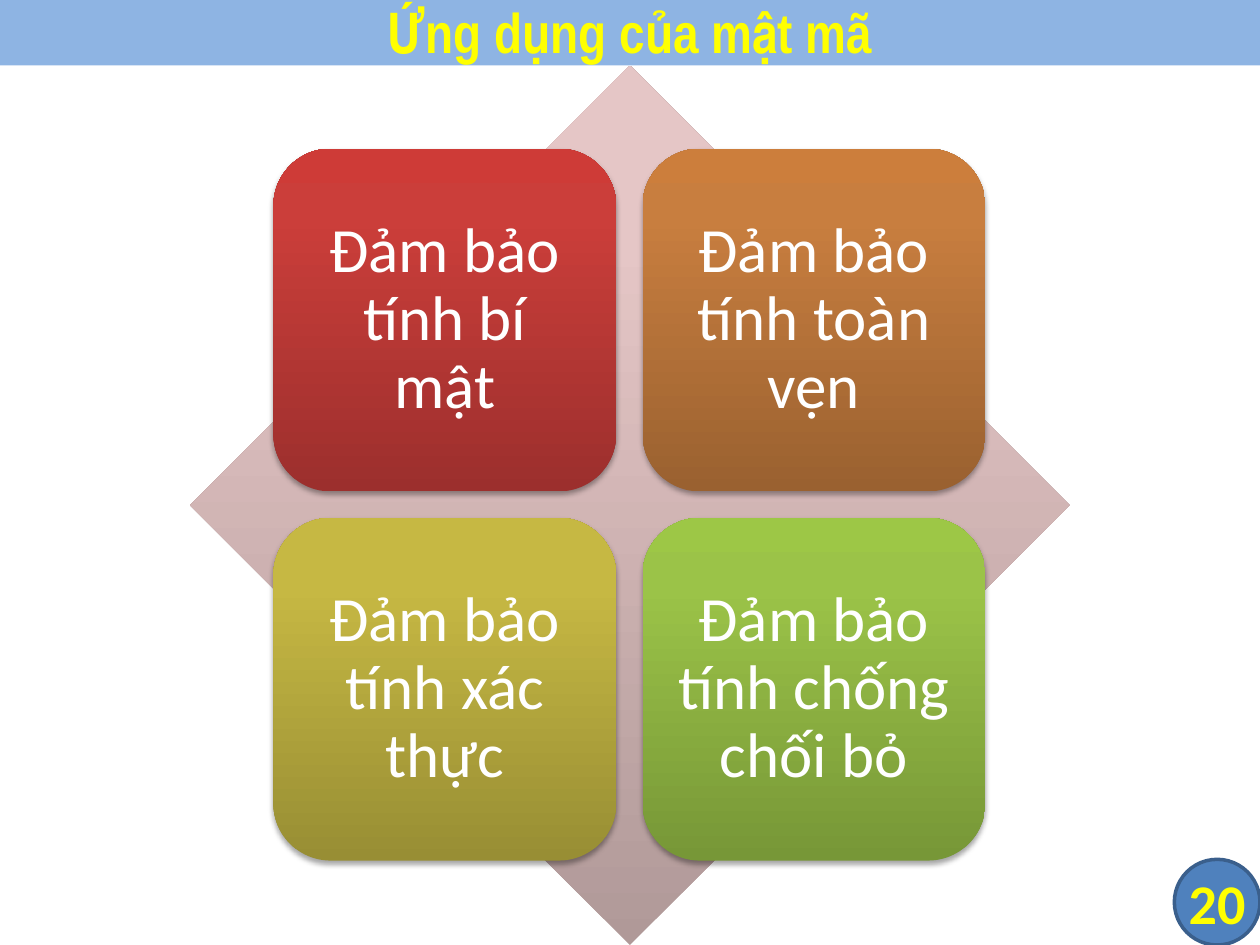
"""Build the slide on the uses of cryptography: four goals over a diamond."""
from copy import deepcopy

from lxml import etree
from pptx import Presentation
from pptx import util as u
from pptx.dml.color import RGBColor
from pptx.enum import shapes, text
from pptx.oxml import ns

COLORS = {
    "banner": "8EB4E3",
    "highlight": "FFFF00",
    "label": "FFFFFF",
    "badge": "4F81BD",
    "badge_line": "3A5F8C",
    "shadow": "000000",
}
DIAMOND_GRADIENT = ("B09998", "E5C6C6", "E6C7C6")
GOALS = [
    ("Đảm bảo tính bí mật", ("9C2F2D", "CB3E3A", "CE3B37")),
    ("Đảm bảo tính toàn vẹn", ("9A6130", "C87E3F", "CC7E3C")),
    ("Đảm bảo tính xác thực", ("988E34", "C6B843", "C9BB41")),
    ("Đảm bảo tính chống chối bỏ", ("779737", "9BC348", "9DC746")),
]
STOP_POSITIONS = (0, 0.8, 1)
TILE_LEFT, TILE_TOP, TILE_SIZE, TILE_PITCH = 2.17, 1.18, 2.72, 2.93


def rgb(name):
    """Return the named palette colour."""
    return RGBColor.from_string(COLORS[name])


def add_shape(slide, kind, left, top, width, height):
    """Add a preset shape with neither outline nor shadow."""
    box = [u.Inches(value) for value in (left, top, width, height)]
    shape = slide.shapes.add_shape(kind, *box)
    shape.shadow.inherit = False
    shape.line.fill.background()
    return shape


def fill_solid(shape, color):
    """Fill a shape with one palette colour."""
    shape.fill.solid()
    shape.fill.fore_color.rgb = rgb(color)


def fill_gradient(shape, colors):
    """Fill a shape with three stops running from bottom to top."""
    shape.fill.gradient()
    shape.fill.gradient_angle = 90
    stop_list = shape.element.spPr.find(".//" + ns.qn("a:gsLst"))
    stop_list.insert(1, deepcopy(stop_list[0]))
    for stop, position, color in zip(shape.fill.gradient_stops, STOP_POSITIONS, colors):
        stop.position = position
        stop.color.rgb = RGBColor.from_string(color)


def add_shadow(shape):
    """Give a shape a soft shadow straight below it."""
    effects = shape.element.spPr.find(ns.qn("a:effectLst"))
    shadow = etree.SubElement(
        effects, ns.qn("a:outerShdw"), blurRad=str(u.Pt(3.1)), dist=str(u.Pt(1.8)),
        dir="5400000", rotWithShape="0")
    color = etree.SubElement(shadow, ns.qn("a:srgbClr"), val=COLORS["shadow"])
    etree.SubElement(color, ns.qn("a:alpha"), val="35000")


def set_text(shape, words, font, size, color, bold=False, inset=0, wrap=True):
    """Write one centred paragraph in a shape and return it."""
    frame = shape.text_frame
    frame.word_wrap = wrap
    frame.vertical_anchor = text.MSO_ANCHOR.MIDDLE
    frame.margin_left = frame.margin_right = u.Inches(inset)
    frame.margin_top = frame.margin_bottom = u.Inches(inset)
    paragraph = frame.paragraphs[0]
    paragraph.text = words
    paragraph.alignment = text.PP_ALIGN.CENTER
    paragraph.font.name = font
    paragraph.font.size = u.Pt(size)
    paragraph.font.bold = bold
    paragraph.font.color.rgb = rgb(color)
    return paragraph


def add_badge(slide, number):
    """Add the round slide number in the corner."""
    badge = add_shape(slide, shapes.MSO_SHAPE.FLOWCHART_CONNECTOR, 9.32, 6.82, 0.68, 0.68)
    fill_solid(badge, "badge")
    badge.line.color.rgb = rgb("badge_line")
    badge.line.width = u.Pt(2)
    set_text(badge, number, "Calibri", 32, "highlight", bold=True, wrap=False)


def add_goal(slide, index, words, colors):
    """Add one rounded tile of the two by two grid."""
    row, column = divmod(index, 2)
    tile = add_shape(
        slide, shapes.MSO_SHAPE.ROUNDED_RECTANGLE, TILE_LEFT + column * TILE_PITCH,
        TILE_TOP + row * TILE_PITCH, TILE_SIZE, TILE_SIZE)
    fill_gradient(tile, colors)
    add_shadow(tile)
    paragraph = set_text(tile, words, "Calibri", 36, "label", inset=0.15)
    paragraph.line_spacing = 0.9


def add_title(slide, words):
    """Add the title banner across the top."""
    banner = add_shape(slide, shapes.MSO_SHAPE.RECTANGLE, 0, -0.03, 10, 0.55)
    fill_solid(banner, "banner")
    set_text(banner, words, "Arial Narrow", 32, "highlight", bold=True)


def main():
    """Build and save the presentation."""
    presentation = Presentation()
    presentation.slide_width = u.Inches(10)
    presentation.slide_height = u.Inches(7.5)
    slide = presentation.slides.add_slide(presentation.slide_layouts[6])
    add_badge(slide, "20")
    diamond = add_shape(slide, shapes.MSO_SHAPE.DIAMOND, 1.51, 0.52, 6.98, 6.98)
    fill_gradient(diamond, DIAMOND_GRADIENT)
    for index, (words, colors) in enumerate(GOALS):
        add_goal(slide, index, words, colors)
    add_title(slide, "Ứng dụng của mật mã")
    presentation.save("out.pptx")


if __name__ == "__main__":
    main()
